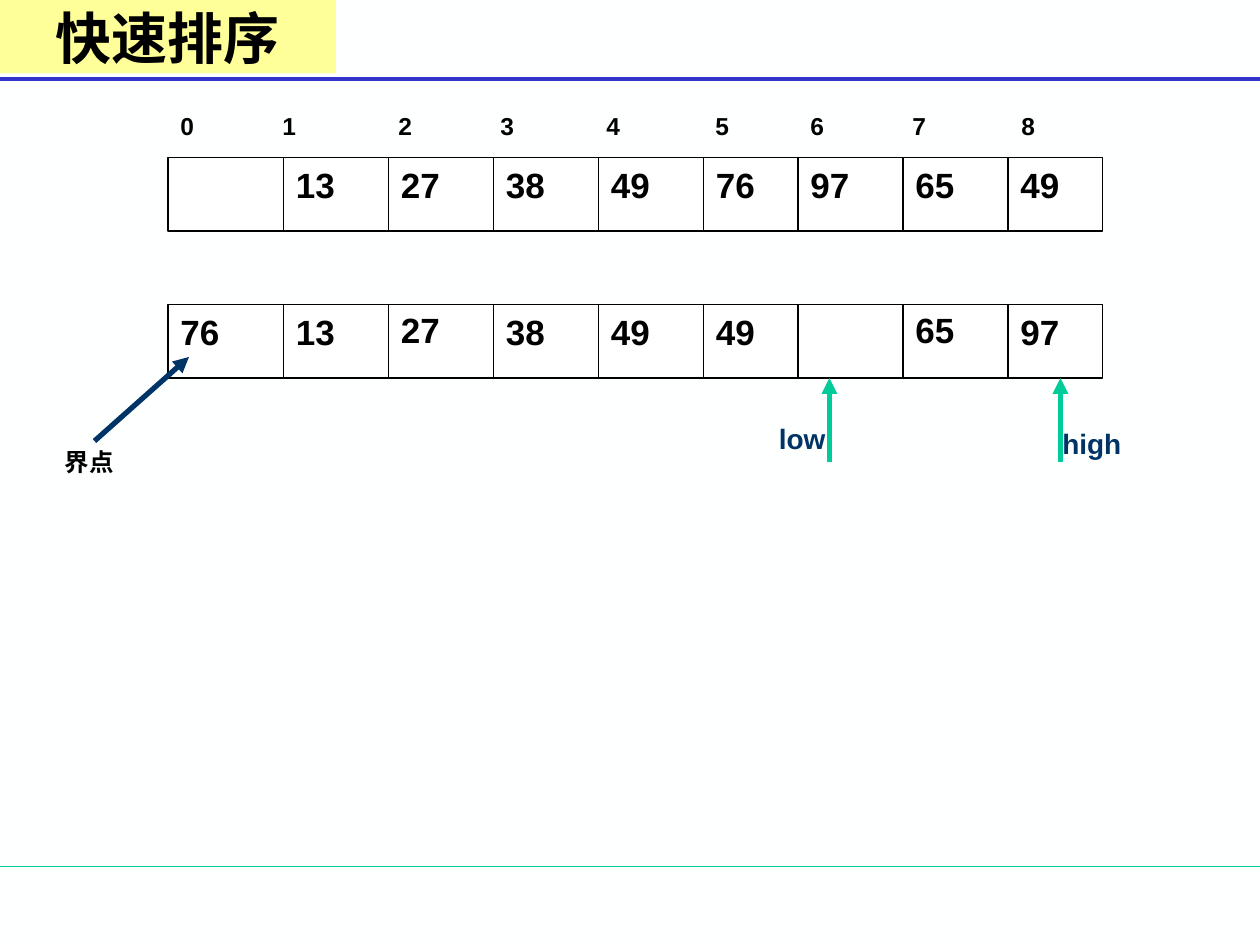
"""Build the quicksort slide with two array states and the low and high markers."""
import pptx
import pptx.dml.color
import pptx.enum.shapes
import pptx.enum.text
import pptx.oxml.ns
import pptx.util
from lxml import etree

Pt = pptx.util.Pt
RGBColor = pptx.dml.color.RGBColor
Anchor = pptx.enum.text.MSO_ANCHOR
Align = pptx.enum.text.PP_ALIGN

BLACK = RGBColor(0x00, 0x00, 0x00)
WHITE = RGBColor(0xFF, 0xFF, 0xFF)
BACKGROUND = RGBColor(0xFE, 0xFF, 0xFF)
YELLOW = RGBColor(0xFF, 0xFF, 0x99)
BLUE = RGBColor(0x33, 0x33, 0xCC)
GREEN = RGBColor(0x00, 0xCC, 0x99)
NAVY = RGBColor(0x00, 0x33, 0x66)

TITLE = "快速排序"
INDEXES = "\t".join(str(index) for index in range(9))
INDEX_TABS = [58.3, 124.6, 182.9, 243.4, 305.7, 360, 418.3, 480.6]
CELL_EDGES = [96, 162, 222, 282, 342, 402, 456, 516, 576, 630]
CELL_HEIGHT = 42
ARRAYS = [
    {"top": 174, "values": ["76", "13", "27", "38", "49", "49", "", "65", "97"], "raised": {2, 7}},
    {"top": 90, "values": ["", "13", "27", "38", "49", "76", "97", "65", "49"], "raised": set()},
]
MARKERS = [
    {"text": "high", "x": 606, "left": 600, "top": 240},
    {"text": "low", "x": 474, "left": 438, "top": 237.6},
]
RULES = [(495, GREEN, 0.75), (45, BLUE, 2.25)]
PIVOT = {"text": "界点", "left": 30, "top": 252, "start": (54, 252), "end": (108, 204)}


def write_text(shape, text, size=20, color=BLACK, font="Arial", align=Align.LEFT,
               anchor=Anchor.TOP, tabs=()):
    frame = shape.text_frame
    frame.word_wrap = True
    frame.auto_size = pptx.enum.text.MSO_AUTO_SIZE.NONE
    frame.vertical_anchor = anchor
    frame.margin_left = frame.margin_right = Pt(7.2)
    frame.margin_top = frame.margin_bottom = Pt(3.6)
    paragraph = frame.paragraphs[0]
    paragraph.alignment = align
    if tabs:
        properties = paragraph._p.get_or_add_pPr()
        tab_list = etree.SubElement(properties, pptx.oxml.ns.qn("a:tabLst"))
        for position in tabs:
            etree.SubElement(tab_list, pptx.oxml.ns.qn("a:tab"), pos=str(int(Pt(position))), algn="l")
    run = paragraph.add_run()
    run.text = text
    run.font.size = Pt(size)
    run.font.bold = True
    run.font.name = font
    run.font.color.rgb = color


def add_text(shapes, text, left, top, width, height, **text_format):
    box = shapes.add_textbox(Pt(left), Pt(top), Pt(width), Pt(height))
    write_text(box, text, **text_format)


def add_line(shapes, start, end, color=BLACK, width=0.75, arrow=False):
    line = shapes.add_connector(pptx.enum.shapes.MSO_CONNECTOR.STRAIGHT,
                                *(Pt(value) for value in (*start, *end)))
    line.line.color.rgb = color
    line.line.width = Pt(width)
    if arrow:
        etree.SubElement(line.line._get_or_add_ln(), pptx.oxml.ns.qn("a:tailEnd"), type="triangle")
    etree.SubElement(line._element.spPr, pptx.oxml.ns.qn("a:effectLst"))


def add_array(slide, top, values, raised):
    shapes = slide.shapes.add_group_shape().shapes
    left, right = CELL_EDGES[0], CELL_EDGES[-1]
    frame = shapes.add_shape(pptx.enum.shapes.MSO_SHAPE.RECTANGLE,
                             Pt(left), Pt(top), Pt(right - left), Pt(CELL_HEIGHT))
    frame.shadow.inherit = False
    frame.fill.solid()
    frame.fill.fore_color.rgb = WHITE
    frame.line.color.rgb = BLACK
    frame.line.width = Pt(0.75)
    for edge in CELL_EDGES[1:-1]:
        add_line(shapes, (edge, top), (edge, top + CELL_HEIGHT))
    for index, value in enumerate(values):
        if value:
            offset = 1.4 if index in raised else 0
            add_text(slide.shapes, value, CELL_EDGES[index], top - offset, 48, 31.5)


def add_title(slide):
    title = slide.shapes.title
    title.left, title.top, title.width, title.height = Pt(0), Pt(0), Pt(192), Pt(42)
    title.fill.solid()
    title.fill.fore_color.rgb = YELLOW
    write_text(title, TITLE, size=32, font="Times New Roman", align=Align.CENTER, anchor=Anchor.MIDDLE)


def main():
    presentation = pptx.Presentation()
    presentation.slide_width, presentation.slide_height = Pt(720), Pt(540)
    slide = presentation.slides.add_slide(presentation.slide_layouts[5])
    slide.background.fill.solid()
    slide.background.fill.fore_color.rgb = BACKGROUND
    add_title(slide)
    for y, color, width in RULES:
        add_line(slide.shapes, (0, y), (720, y), color, width)
    for array in ARRAYS:
        add_array(slide, **array)
    add_text(slide.shapes, INDEXES, CELL_EDGES[0], 60, 534, 24.3, size=14, tabs=INDEX_TABS)
    for marker in MARKERS:
        shapes = slide.shapes.add_group_shape().shapes
        add_line(shapes, (marker["x"], 264), (marker["x"], 216), GREEN, 3, arrow=True)
        add_text(shapes, marker["text"], marker["left"], marker["top"], 66, 26.6, size=16, color=NAVY)
    add_text(slide.shapes, PIVOT["text"], PIVOT["left"], PIVOT["top"], 60, 24.3, size=14)
    add_line(slide.shapes, PIVOT["start"], PIVOT["end"], NAVY, 3, arrow=True)
    presentation.save("out.pptx")


if __name__ == "__main__":
    main()
